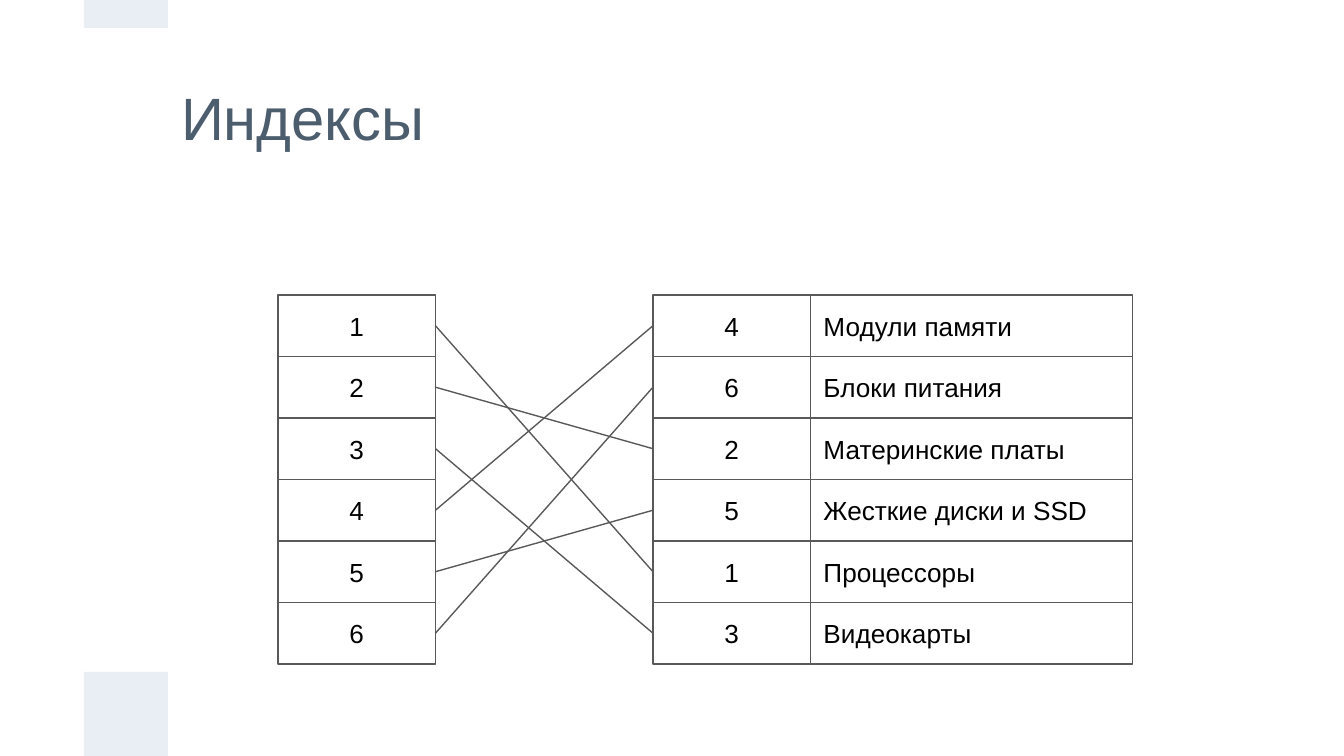
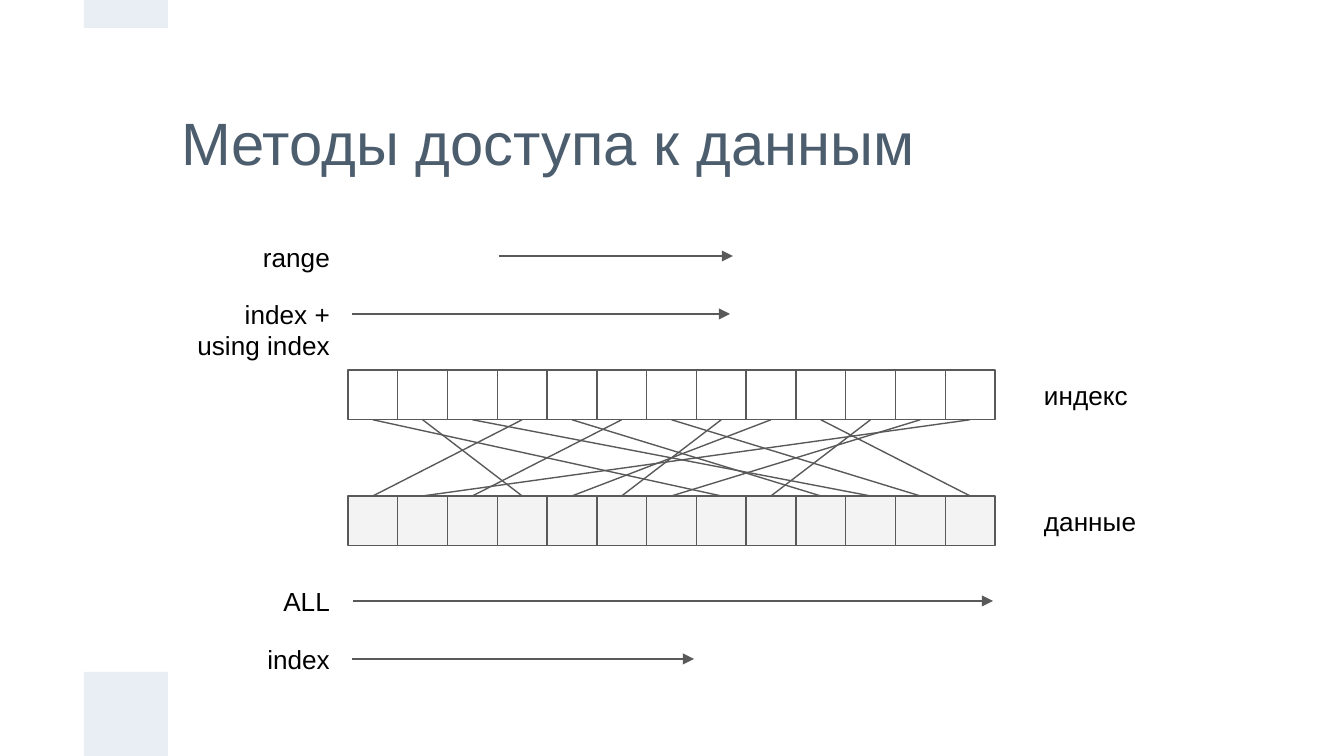
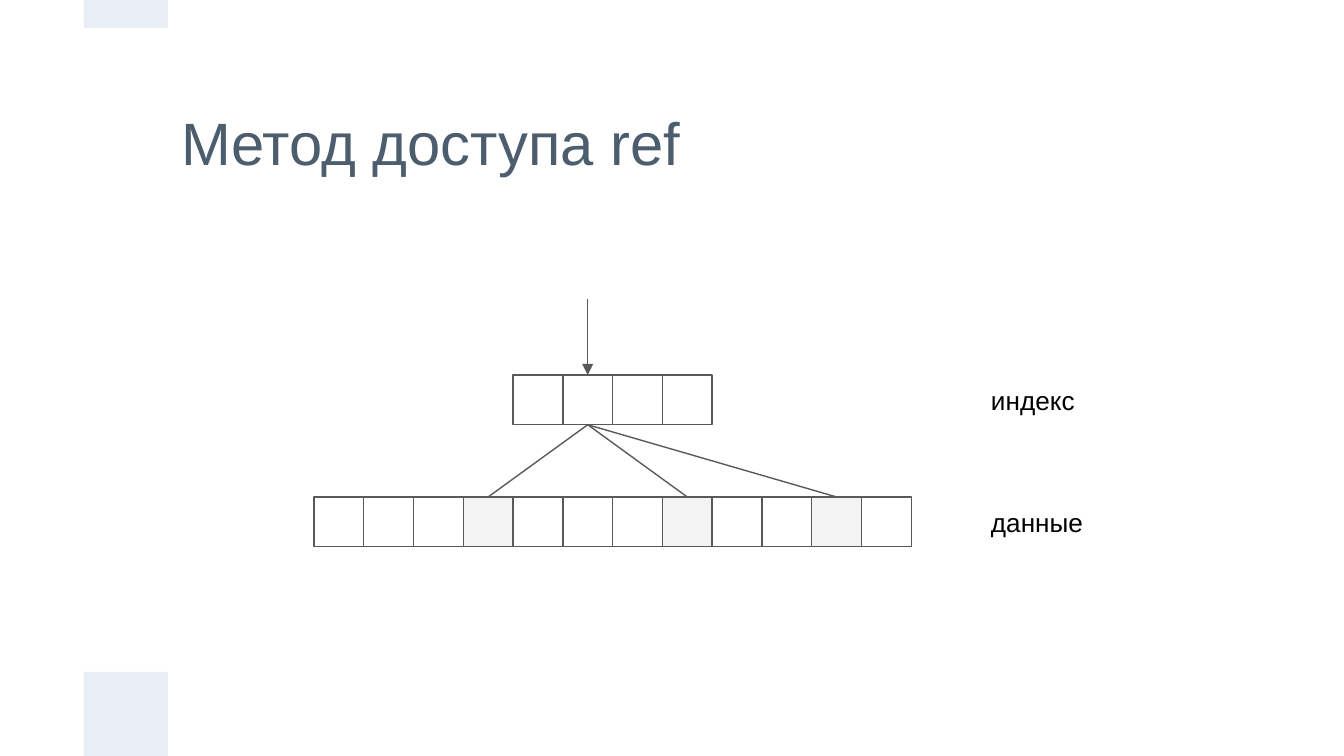
"""Builds three slides about database indexes and data access methods."""
from lxml import etree
from pptx import Presentation
from pptx.dml.color import RGBColor
from pptx.enum.shapes import MSO_CONNECTOR, MSO_SHAPE
from pptx.enum.text import MSO_ANCHOR, MSO_AUTO_SIZE, PP_ALIGN
from pptx.oxml.ns import qn
from pptx.util import Emu, Pt

LEFT, CENTER, RIGHT = PP_ALIGN.LEFT, PP_ALIGN.CENTER, PP_ALIGN.RIGHT
TOP, MIDDLE = MSO_ANCHOR.TOP, MSO_ANCHOR.MIDDLE
FIXED_SIZE = MSO_AUTO_SIZE.NONE
RECTANGLE, STRAIGHT = MSO_SHAPE.RECTANGLE, MSO_CONNECTOR.STRAIGHT

COLORS = {
    "title": "4C5D6E",
    "band": "E9EDF4",
    "line": "595959",
    "shade": "F3F3F3",
    "text": "000000",
}
FONT = "Arial"
WIDTH, HEIGHT = 1344, 756
SCALE = 9144000 / WIDTH
INSET = 13
LINE_WIDTH = Pt(0.75)
BANDS = [(84, 672, 84, 84), (84, 0, 84, 28)]


def px(*lengths):
    return [Emu(round(length * SCALE)) for length in lengths]


def write(frame, text, size=14, color="text", align=LEFT, anchor=TOP):
    frame.word_wrap = True
    frame.auto_size = FIXED_SIZE
    frame.vertical_anchor = anchor
    frame.margin_left, frame.margin_top, frame.margin_right, frame.margin_bottom = px(*[INSET] * 4)
    frame.text = text
    for paragraph in frame.paragraphs:
        paragraph.alignment = align
        paragraph.font.name = FONT
        paragraph.font.size = Pt(size)
        paragraph.font.color.rgb = RGBColor.from_string(COLORS[color])


# Boxes: place, fill, text, alignment. Lines: ends, arrowhead. Labels: place, text, alignment.
keys = ["1", "2", "3", "4", "5", "6"]
records = [
    ("4", "Модули памяти"),
    ("6", "Блоки питания"),
    ("2", "Материнские платы"),
    ("5", "Жесткие диски и SSD"),
    ("1", "Процессоры"),
    ("3", "Видеокарты"),
]
record_keys = [key for key, goods in records]
row_top, row_height = 295, 61.5
key_left, record_left, key_width, goods_width = 278, 653, 157.5, 322
row_boxes, row_lines = [], []
for row, key in enumerate(keys):
    y = row_top + row * row_height
    record_key, goods = records[row]
    row_boxes += [
        ((key_left, y, key_width, row_height), None, key, CENTER),
        ((record_left, y, key_width, row_height), None, record_key, CENTER),
        ((record_left + key_width, y, goods_width, row_height), None, goods, LEFT),
    ]
    target = row_top + (record_keys.index(key) + 0.5) * row_height
    row_lines.append(((key_left + key_width, y + row_height / 2, record_left, target), False))

cell = 647 / 13
strip_left, index_top, data_top = 348, 370, 496
index_targets = [7, 3, 10, 0, 9, 2, 11, 5, 4, 12, 8, 6, 1]
method_boxes, method_lines = [], []
for column, target in enumerate(index_targets):
    x = strip_left + column * cell
    method_boxes += [
        ((x, index_top, cell, cell), None, "", LEFT),
        ((x, data_top, cell, cell), "shade", "", LEFT),
    ]
    ends = (x + cell / 2, index_top + cell, strip_left + (target + 0.5) * cell, data_top)
    method_lines.append((ends, False))
for y, start, end in [(256, 499, 733), (314, 352, 730), (601, 353, 993), (659, 352, 694)]:
    method_lines.append(((start, y, end, y), True))
method_labels = [
    ((1031, 366, 116, 58), "индекс", LEFT),
    ((1031, 492, 136, 58), "данные", LEFT),
    ((243, 228, 100, 58), "range", RIGHT),
    ((144, 285, 199, 90), "index +\nusing index", RIGHT),
    ((243, 572, 100, 58), "ALL", RIGHT),
    ((243, 630, 100, 58), "index", RIGHT),
]

ref_left, ref_index_top, ref_data_top = 314, 375, 497
found_columns = [3, 7, 10]
ref_boxes = []
for column in range(12):
    shade = "shade" if column in found_columns else None
    ref_boxes.append(((ref_left + column * cell, ref_data_top, cell, cell), shade, "", LEFT))
for column in range(4, 8):
    ref_boxes.append(((ref_left + column * cell, ref_index_top, cell, cell), None, "", LEFT))
ref_x = ref_left + 5.5 * cell
ref_lines = [((ref_x, 299, ref_x, ref_index_top), True)]
for column in found_columns:
    ends = (ref_x, ref_index_top + cell, ref_left + (column + 0.5) * cell, ref_data_top)
    ref_lines.append((ends, False))
ref_labels = [
    ((978, 371, 116, 58), "индекс", LEFT),
    ((978, 493, 136, 58), "данные", LEFT),
]

contents = [
    ("Индексы", 59, row_boxes, row_lines, []),
    ("Методы доступа к данным", 84, method_boxes, method_lines, method_labels),
    ("Метод доступа ref", 84, ref_boxes, ref_lines, ref_labels),
]

deck = Presentation()
deck.slide_width, deck.slide_height = px(WIDTH, HEIGHT)
title_only = deck.slide_layouts[5]

for heading, heading_top, boxes, lines, labels in contents:
    slide = deck.slides.add_slide(title_only)
    title = slide.shapes.title
    title.left, title.top, title.width, title.height = px(168, heading_top, 1008, 116)
    write(title.text_frame, heading, size=32, color="title", anchor=MIDDLE)

    bands = [(place, "band", "", LEFT) for place in BANDS]
    for place, fill, text, align in bands + boxes:
        box = slide.shapes.add_shape(RECTANGLE, *px(*place))
        box.shadow.inherit = False
        if fill:
            box.fill.solid()
            box.fill.fore_color.rgb = RGBColor.from_string(COLORS[fill])
        else:
            box.fill.background()
        if fill == "band":
            box.line.fill.background()
        else:
            box.line.color.rgb = RGBColor.from_string(COLORS["line"])
            box.line.width = LINE_WIDTH
        if text:
            write(box.text_frame, text, align=align, anchor=MIDDLE)

    for ends, has_arrow in lines:
        link = slide.shapes.add_connector(STRAIGHT, *px(*ends))
        link.line.color.rgb = RGBColor.from_string(COLORS["line"])
        link.line.width = LINE_WIDTH
        properties = link._element.spPr
        if has_arrow:
            etree.SubElement(properties.find(qn("a:ln")), qn("a:tailEnd"), type="triangle")
        etree.SubElement(properties, qn("a:effectLst"))

    for place, text, align in labels:
        label = slide.shapes.add_textbox(*px(*place))
        write(label.text_frame, text, align=align)

deck.save("out.pptx")
